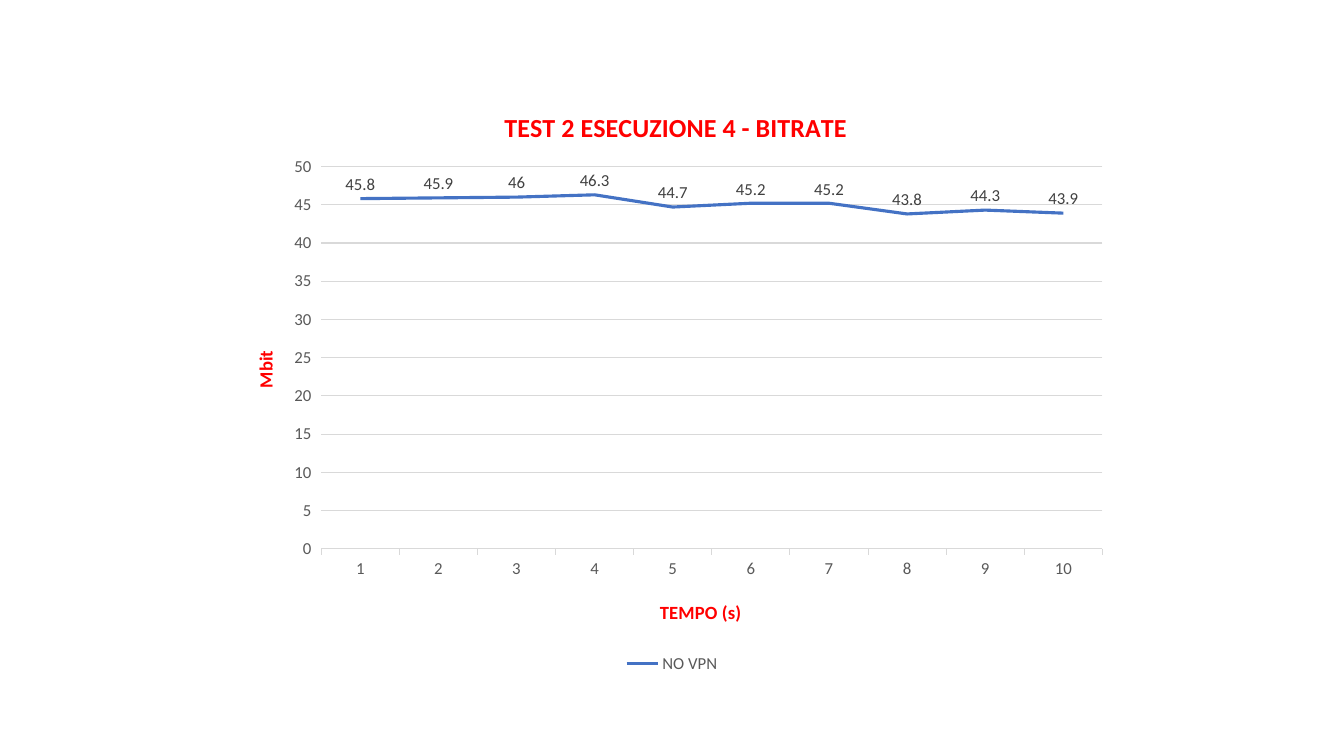
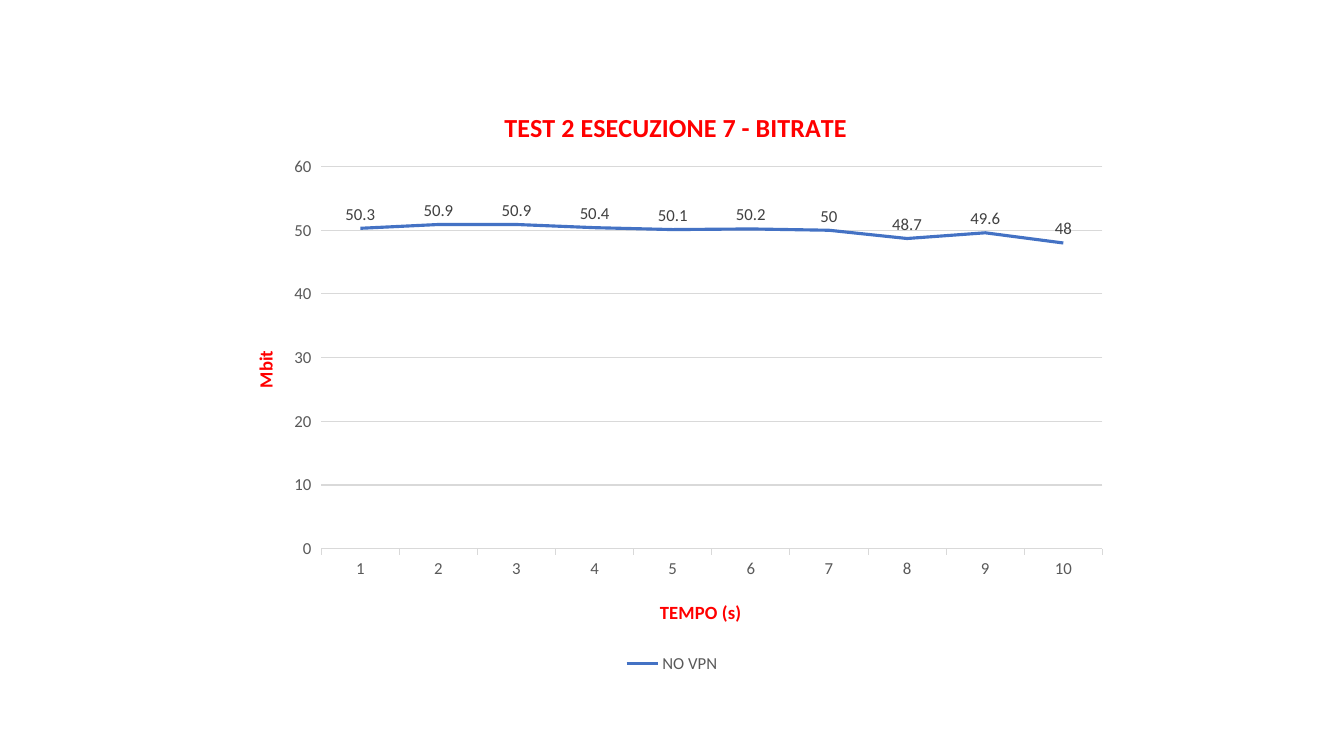
from lxml import etree
from pptx import Presentation
from pptx.chart import data as chart_data
from pptx.dml.color import RGBColor
from pptx.enum import chart as chart_enum
from pptx.oxml import ns
from pptx.util import Pt

COLORS = {"title": "FF0000", "text": "595959", "label": "404040",
          "grid": "D9D9D9", "line": "4472C4", "background": "FFFFFF"}
FONT = "Calibri"
SIZES = {"title": 18.6, "axis_title": 13.3, "text": 12}

# Chart frame on the slide, then positions inside it, all in points
FRAME = (160, 57, 640, 427)
PLOT_AREA = (69.5, 62, 558, 273)
TITLE_AT = (197, 17.5)
TIME_TITLE_AT = (309, 368.5)
RATE_TITLE_AT = (18, 191)

SECONDS = [str(second) for second in range(1, 11)]
# Run number, axis maximum, axis step, bitrates
RUNS = [
    (4, 50, 5, [45.8, 45.9, 46, 46.3, 44.7, 45.2, 45.2, 43.8, 44.3, 43.9]),
    (7, 60, 10, [50.3, 50.9, 50.9, 50.4, 50.1, 50.2, 50, 48.7, 49.6, 48]),
]


class Deck:
    """Holds the shared style and the current slide."""

    def __init__(self):
        self.presentation = Presentation()
        self.presentation.slide_width = Pt(960)
        self.presentation.slide_height = Pt(540)
        self.slide = None

    def color(self, name):
        return RGBColor.from_string(COLORS[name])

    def add_slide(self):
        self.slide = self.presentation.slides.add_slide(
            self.presentation.slide_layouts[6])
        fill = self.slide.background.fill
        fill.solid()
        fill.fore_color.rgb = self.color("background")

    def style_font(self, font, size, color, bold=False):
        font.name = FONT
        font.size = Pt(SIZES[size])
        font.bold = bold
        font.color.rgb = self.color(color)

    def style_line(self, line, color, width):
        line.color.rgb = self.color(color)
        line.width = Pt(width)

    def place(self, element, box):
        """Fix the place of a title (left, top) or of the plot area."""
        for old in element.findall(ns.qn("c:layout")):
            element.remove(old)
        layout = etree.Element(ns.qn("c:layout"))
        manual = etree.SubElement(layout, ns.qn("c:manualLayout"))
        settings = [("xMode", "edge"), ("yMode", "edge")]
        if len(box) == 4:
            settings.insert(0, ("layoutTarget", "inner"))
        fractions = [length / FRAME[2 + index % 2]
                     for index, length in enumerate(box)]
        settings += zip("xywh", fractions)
        for tag, value in settings:
            etree.SubElement(manual, ns.qn(f"c:{tag}")).set("val", str(value))
        element.insert(0 if len(box) == 4 else 1, layout)

    def title(self, owner, wording, size):
        """Write the title of a chart or of an axis."""
        paragraph = owner.text_frame.paragraphs[0]
        paragraph.text = wording
        self.style_font(paragraph.font, size, "title", bold=True)

    def axis(self, axis, wording):
        axis.has_title = True
        self.title(axis.axis_title, wording, "axis_title")
        self.style_font(axis.tick_labels.font, "text", "text")
        axis.major_tick_mark = chart_enum.XL_TICK_MARK.OUTSIDE
        axis.minor_tick_mark = chart_enum.XL_TICK_MARK.NONE

    def line_chart(self, wording, maximum, step, values):
        source = chart_data.CategoryChartData()
        source.categories = SECONDS
        source.add_series("NO VPN", values)
        chart = self.slide.shapes.add_chart(
            chart_enum.XL_CHART_TYPE.LINE, *map(Pt, FRAME), source).chart
        self.style_font(chart.font, "text", "text")
        chart.has_title = True
        self.title(chart.chart_title, wording, "title")

        # Axes
        time_axis, rate_axis = chart.category_axis, chart.value_axis
        self.axis(time_axis, "TEMPO (s)")
        self.style_line(time_axis.format.line, "grid", 0.75)
        self.axis(rate_axis, "Mbit")
        rate_axis.format.line.fill.background()
        rate_axis.minimum_scale = 0
        rate_axis.maximum_scale = maximum
        rate_axis.major_unit = step
        rate_axis.has_major_gridlines = True
        self.style_line(rate_axis.major_gridlines.format.line, "grid", 0.75)

        # Series and its labels
        plot = chart.plots[0]
        plot.vary_by_categories = False
        series = plot.series[0]
        series.smooth = False
        self.style_line(series.format.line, "line", 2.25)
        labels = series.data_labels
        labels.show_value = True
        labels.position = chart_enum.XL_LABEL_POSITION.ABOVE
        self.style_font(labels.font, "text", "label")

        # Legend
        chart.has_legend = True
        chart.legend.position = chart_enum.XL_LEGEND_POSITION.BOTTOM
        chart.legend.include_in_layout = False
        self.style_font(chart.legend.font, "text", "text")

        # Fixed places, with the value axis title turned upright
        body = rate_axis.axis_title.text_frame._txBody.find(ns.qn("a:bodyPr"))
        body.set("rot", "-5400000")
        body.set("vert", "horz")
        root = chart.element if hasattr(chart, "element") else chart._chartSpace
        places = (TITLE_AT, TIME_TITLE_AT, RATE_TITLE_AT)
        for element, place in zip(root.iter(ns.qn("c:title")), places):
            self.place(element, place)
        self.place(next(root.iter(ns.qn("c:plotArea"))), PLOT_AREA)


def main():
    deck = Deck()
    for run, maximum, step, values in RUNS:
        deck.add_slide()
        deck.line_chart(f"TEST 2 ESECUZIONE {run} - BITRATE",
                        maximum, step, values)
    deck.presentation.save("out.pptx")


if __name__ == "__main__":
    main()
